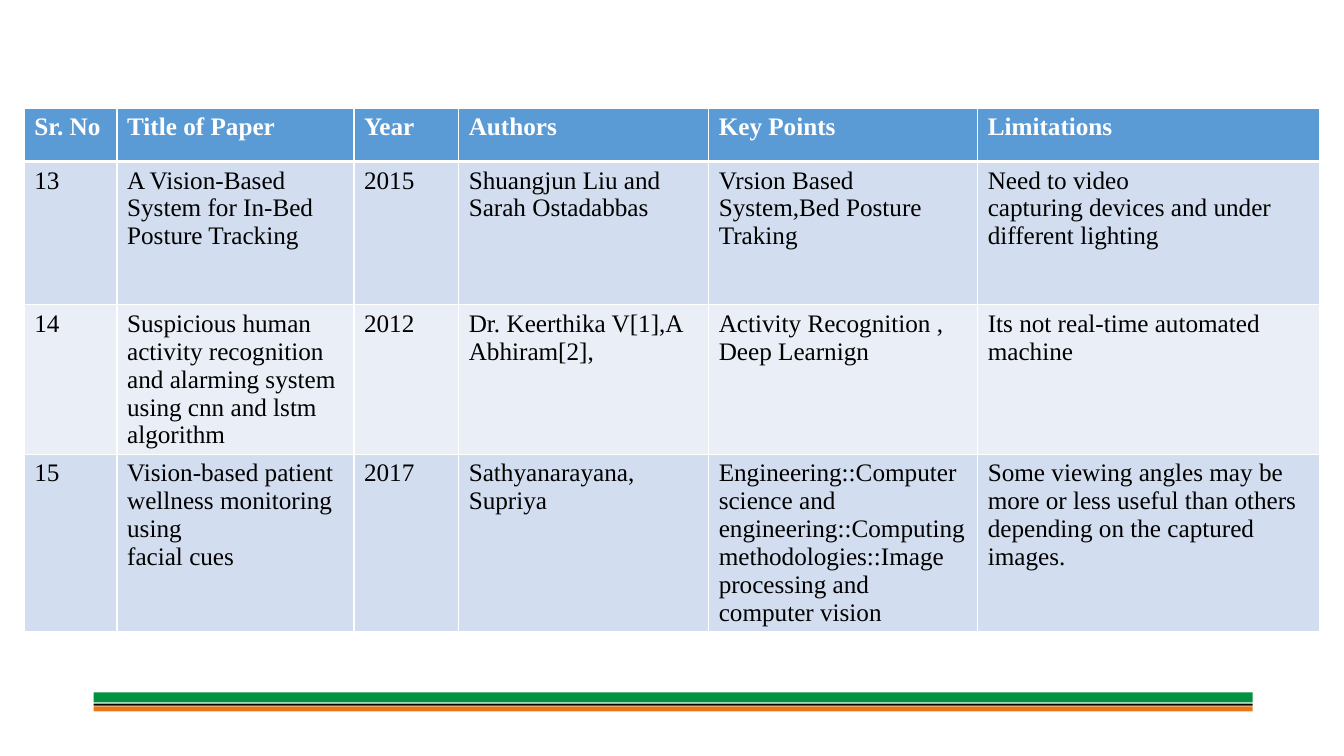
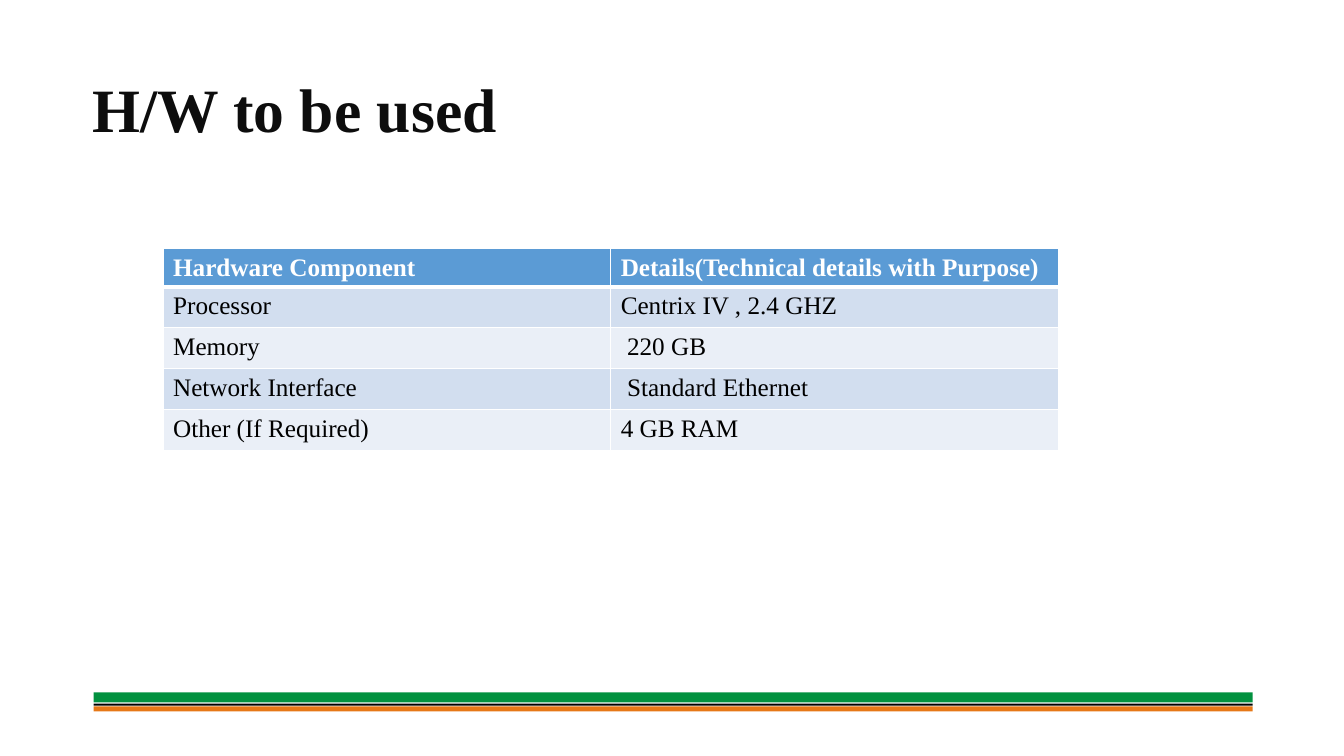
from lxml import etree
from pptx import Presentation
from pptx.dml.color import RGBColor
from pptx.enum.shapes import MSO_SHAPE
from pptx.enum.text import MSO_ANCHOR, MSO_AUTO_SIZE, PP_ALIGN
from pptx.oxml.ns import qn
from pptx.util import Cm, Pt

RECTANGLE = MSO_SHAPE.RECTANGLE
MIDDLE = MSO_ANCHOR.MIDDLE
NO_FIT = MSO_AUTO_SIZE.NONE
LEFT = PP_ALIGN.LEFT

WHITE = RGBColor(0xFF, 0xFF, 0xFF)
BLACK = RGBColor(0x00, 0x00, 0x00)
TITLE_INK = RGBColor(0x0D, 0x0D, 0x0D)
GREEN = RGBColor(0x02, 0x91, 0x3F)
ORANGE = RGBColor(0xE6, 0x78, 0x17)
HEADER_BLUE = RGBColor(0x5B, 0x9B, 0xD5)
ROW_TINTS = (RGBColor(0xD2, 0xDE, 0xEF), RGBColor(0xEA, 0xEF, 0xF7))

FONT = "Times New Roman"
TITLE_ONLY, BLANK = 5, 6
FOOTER_BANDS = ((17.45, 0.25, GREEN), (17.8, 0.13, ORANGE), (17.73, 0.05, BLACK))

PAPERS = (
    ("Sr. No", "Title of Paper", "Year", "Authors", "Key Points", "Limitations"),
    ("13", "A Vision-Based System for In-Bed Posture Tracking", "2015",
     "Shuangjun Liu and Sarah Ostadabbas",
     "Vrsion Based System,Bed Posture Traking",
     "Need to video\ncapturing devices and under different lighting"),
    ("14", "Suspicious human activity recognition and alarming system "
     "using cnn and lstm\nalgorithm", "2012",
     "Dr. Keerthika V[1],A Abhiram[2],",
     "Activity Recognition , Deep Learnign",
     "Its not real-time automated machine"),
    ("15", "Vision‑based patient wellness monitoring using\nfacial cues", "2017",
     "Sathyanarayana, Supriya",
     "Engineering::Computer science and engineering::Computing "
     "methodologies::Image processing and computer vision",
     "Some viewing angles may be more or less useful than others "
     "depending on the captured images."),
)

HARDWARE = (
    ("Hardware Component", "Details(Technical details with Purpose)"),
    ("Processor", "Centrix IV , 2.4 GHZ"),
    ("Memory", " 220 GB"),
    ("Network Interface", " Standard Ethernet"),
    ("Other (If Required)", "4 GB RAM"),
)


def write_text(frame, text, size=18, color=BLACK, bold=False, spacing=None):
    paragraph = frame.paragraphs[0]
    paragraph.text = text
    paragraph.alignment = LEFT
    paragraph.line_spacing = spacing
    for run in paragraph.runs:
        run.font.name = FONT
        run.font.size = Pt(size)
        run.font.bold = bold
        run.font.color.rgb = color


def add_footer_bands(master, slide):
    for number, (top, height, color) in enumerate(FOOTER_BANDS):
        band = slide.shapes.add_shape(
            RECTANGLE, Cm(2.36), Cm(top), Cm(29.21), Cm(height))
        band.shadow.inherit = False
        band.fill.solid()
        band.fill.fore_color.rgb = color
        band.line.fill.background()
        band.element.find(".//" + qn("p:cNvPr")).set("id", str(100 + number))
        master.shapes.element.insert(2 + number, band.element)


def set_borders(cell, **widths):
    properties = cell._tc.get_or_add_tcPr()
    for side in "LRTB":
        width = Pt(widths.get(side, 1))
        border = etree.SubElement(properties, qn(f"a:ln{side}"), w=str(width))
        fill = etree.SubElement(border, qn("a:solidFill"))
        etree.SubElement(fill, qn("a:srgbClr"), val=str(WHITE))


def add_data_table(slide, rows, left, top, widths, header_height, row_height):
    heights = [header_height] + [row_height] * (len(rows) - 1)
    table = slide.shapes.add_table(
        len(rows), len(widths), Cm(left), Cm(top),
        Cm(sum(widths)), Cm(sum(heights))).table
    for column, width in zip(table.columns, widths):
        column.width = Cm(width)
    for index, (row, height, texts) in enumerate(zip(table.rows, heights, rows)):
        row.height = Cm(height)
        is_header = index == 0
        for cell, text in zip(row.cells, texts):
            set_borders(cell, B=3 if is_header else 1, T=3 if index == 1 else 1)
            cell.fill.solid()
            cell.fill.fore_color.rgb = (
                HEADER_BLUE if is_header else ROW_TINTS[(index - 1) % 2])
            write_text(cell.text_frame, text, bold=is_header,
                       color=WHITE if is_header else BLACK)


def set_title(slide, text):
    title = slide.shapes.title
    title.left, title.top = Cm(2.33), Cm(1)
    title.width, title.height = Cm(29.21), Cm(3.68)
    frame = title.text_frame
    frame.auto_size = NO_FIT
    frame.word_wrap = True
    frame.vertical_anchor = MIDDLE
    frame.margin_left = frame.margin_right = 0
    frame.margin_top = frame.margin_bottom = 0
    write_text(frame, text, size=44, color=TITLE_INK, bold=True, spacing=0.9)


def main():
    deck = Presentation()
    deck.slide_width, deck.slide_height = Cm(33.87), Cm(19.05)

    papers = deck.slides.add_slide(deck.slide_layouts[BLANK])
    add_footer_bands(deck.slide_master, papers)
    add_data_table(papers, PAPERS, 0.61, 2.72,
                   (2.34, 5.97, 2.64, 6.3, 6.78, 8.61), 1.35, 3.61)

    hardware = deck.slides.add_slide(deck.slide_layouts[TITLE_ONLY])
    set_title(hardware, "H/W to be used")
    add_data_table(hardware, HARDWARE, 4.11, 6.27, (11.28, 11.28), 0.94, 1.03)

    deck.save("out.pptx")


if __name__ == "__main__":
    main()
